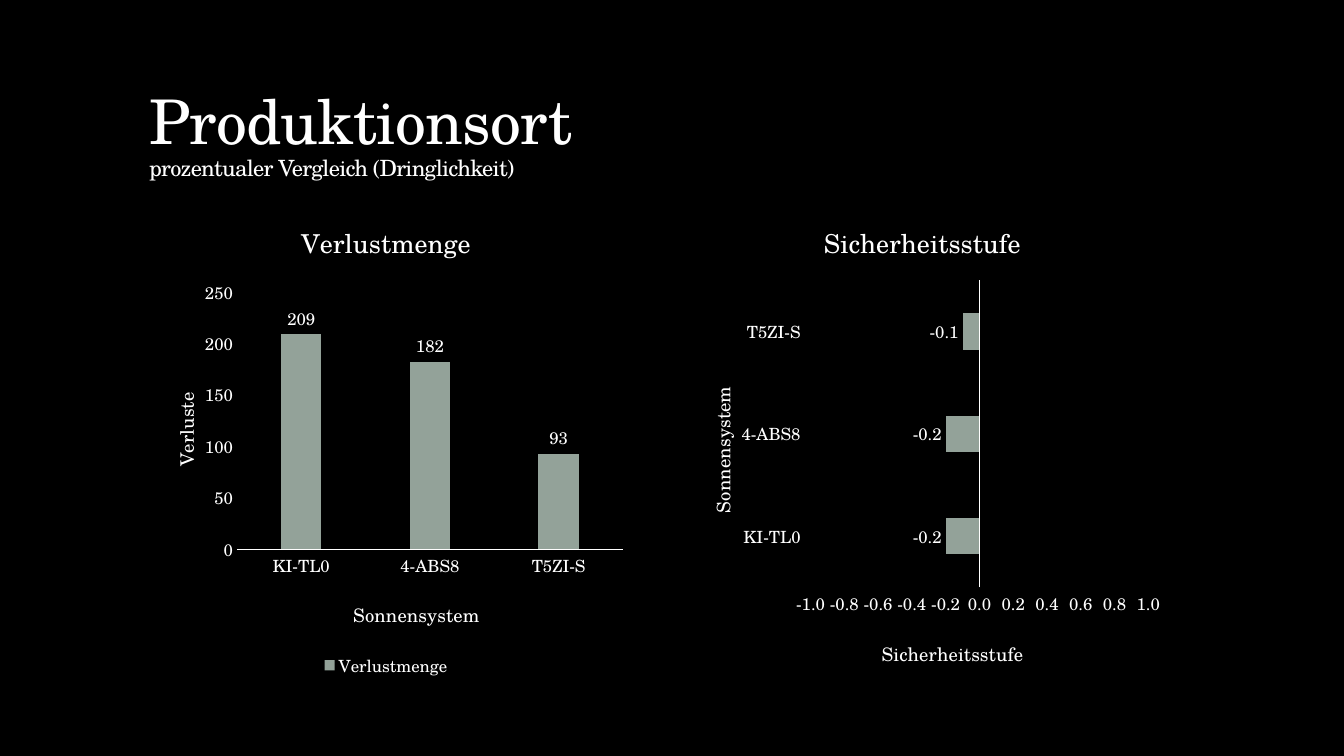
"""Builds the slide comparing losses and security status per solar system."""
from lxml import etree
from pptx import Presentation, util as u
from pptx.chart.data import CategoryChartData
from pptx.dml.color import RGBColor
from pptx.enum import chart as ch, text
from pptx.oxml.ns import qn

FONT, WHITE, BLACK, SAGE = "TeX Gyre Schola", "FFFFFF", "000000", "93A299"
HEADING = [("Produktionsort", 44), ("prozentualer Vergleich (Dringlichkeit)", 16)]
SYSTEMS = ["KI-TL0", "4-ABS8", "T5ZI-S"]
CHART_TOP, CHART_WIDTH, CHART_HEIGHT = 2, 4.9, 4.76
CHARTS = [
    dict(kind=ch.XL_CHART_TYPE.COLUMN_CLUSTERED, name="Verlustmenge", values=[209, 182, 93],
         left=1.38, gap=219, overlap=-27, scale=(0, 250, 50), format="#,##0", legend=True,
         labels=ch.XL_TICK_LABEL_POSITION.NEXT_TO_AXIS, plot=(2.35, 2.9, 3.83, 2.55),
         category=("Sonnensystem", 3.47, 5.91, False), value=("Verluste", 1.66, 3.86, True)),
    dict(kind=ch.XL_CHART_TYPE.BAR_CLUSTERED, name="Sicherheitsstufe", values=[-0.2, -0.2, -0.1],
         left=6.7, gap=182, overlap=0, scale=(-1, 1, 0.2), format="#,##0.0", legend=False,
         labels=ch.XL_TICK_LABEL_POSITION.LOW, plot=(8.04, 2.78, 3.35, 3.05),
         category=("Sonnensystem", 6.98, 3.8, True), value=("Sicherheitsstufe", 8.71, 6.3, False)),
]


def rgb(color):
    return RGBColor.from_string(color)


def style(font, size):
    font.name, font.size, font.bold = FONT, u.Pt(size), False
    font.color.rgb = rgb(WHITE)


def place(element, left, top, chart_left, size=None):
    layout = element.find(qn("c:layout"))
    if layout is None:
        layout = etree.Element(qn("c:layout"))
        element.insert(0, layout)
    manual = etree.SubElement(layout, qn("c:manualLayout"))
    settings = [("xMode", "edge"), ("yMode", "edge"),
                ("x", (left - chart_left) / CHART_WIDTH), ("y", (top - CHART_TOP) / CHART_HEIGHT)]
    if size:
        settings.insert(0, ("layoutTarget", "inner"))
        settings += [("w", size[0] / CHART_WIDTH), ("h", size[1] / CHART_HEIGHT)]
    for tag, setting in settings:
        etree.SubElement(manual, qn("c:" + tag)).set("val", str(setting))


def name_axis(axis, label, left, top, upright, chart_left):
    axis.has_major_gridlines = False
    axis.major_tick_mark = axis.minor_tick_mark = ch.XL_TICK_MARK.NONE
    style(axis.tick_labels.font, 12)
    title = axis.axis_title
    run = title.text_frame.paragraphs[0].add_run()
    run.text = label
    style(run.font, 13.3)
    body = title._element.find(".//" + qn("a:bodyPr"))
    body.set("rot", "-5400000" if upright else "0")
    body.set("vert", "horz")
    place(title._element, left, top, chart_left)


def add_comparison(slide, item):
    data = CategoryChartData()
    data.categories = SYSTEMS
    data.add_series(item["name"], item["values"])
    chart = slide.shapes.add_chart(
        item["kind"], u.Inches(item["left"]), u.Inches(CHART_TOP),
        u.Inches(CHART_WIDTH), u.Inches(CHART_HEIGHT), data).chart
    style(chart.font, 10)
    chart.has_title = True
    heading = chart.chart_title.text_frame.paragraphs[0].add_run()
    heading.text = item["name"]
    style(heading.font, 18.6)
    chart.has_legend = item["legend"]
    if item["legend"]:
        chart.legend.position = ch.XL_LEGEND_POSITION.BOTTOM
        chart.legend.include_in_layout = False
        style(chart.legend.font, 12)

    category, value = chart.category_axis, chart.value_axis
    name_axis(category, *item["category"], item["left"])
    name_axis(value, *item["value"], item["left"])
    category.tick_label_position = item["labels"]
    category.format.line.color.rgb = rgb(WHITE)
    category.format.line.width = u.Pt(0.75)
    value.format.line.fill.background()
    value.minimum_scale, value.maximum_scale, value.major_unit = item["scale"]
    value.tick_labels.number_format = item["format"]
    value.tick_labels.number_format_is_linked = False

    plot = chart.plots[0]
    plot.gap_width, plot.overlap, plot.vary_by_categories = item["gap"], item["overlap"], False
    series = plot.series[0]
    series.invert_if_negative = False
    series.format.fill.solid()
    series.format.fill.fore_color.rgb = rgb(SAGE)
    labels = series.data_labels
    labels.show_value = True
    labels.position = ch.XL_LABEL_POSITION.OUTSIDE_END
    labels.number_format, labels.number_format_is_linked = item["format"], False
    style(labels.font, 12)
    left, top, *size = item["plot"]
    place(chart._chartSpace.find(".//" + qn("c:plotArea")), left, top, item["left"], size)


def add_heading(slide):
    frame = slide.shapes.add_textbox(
        u.Inches(1.38), u.Inches(0.4), u.Inches(10.6), u.Inches(1.45)).text_frame
    frame.word_wrap = True
    frame.vertical_anchor = text.MSO_ANCHOR.BOTTOM
    paragraph = frame.paragraphs[0]
    paragraph.line_spacing = 0.9
    for index, (words, size) in enumerate(HEADING):
        if index:
            paragraph.add_line_break()
        run = paragraph.add_run()
        run.text = words
        style(run.font, size)
        run._r.get_or_add_rPr().set("spc", "-50")


def main():
    deck = Presentation()
    deck.slide_width, deck.slide_height = u.Inches(13.33), u.Inches(7.5)
    slide = deck.slides.add_slide(deck.slide_layouts[6])
    slide.background.fill.solid()
    slide.background.fill.fore_color.rgb = rgb(BLACK)
    add_heading(slide)
    for item in CHARTS:
        add_comparison(slide, item)
    deck.save("out.pptx")


if __name__ == "__main__":
    main()
